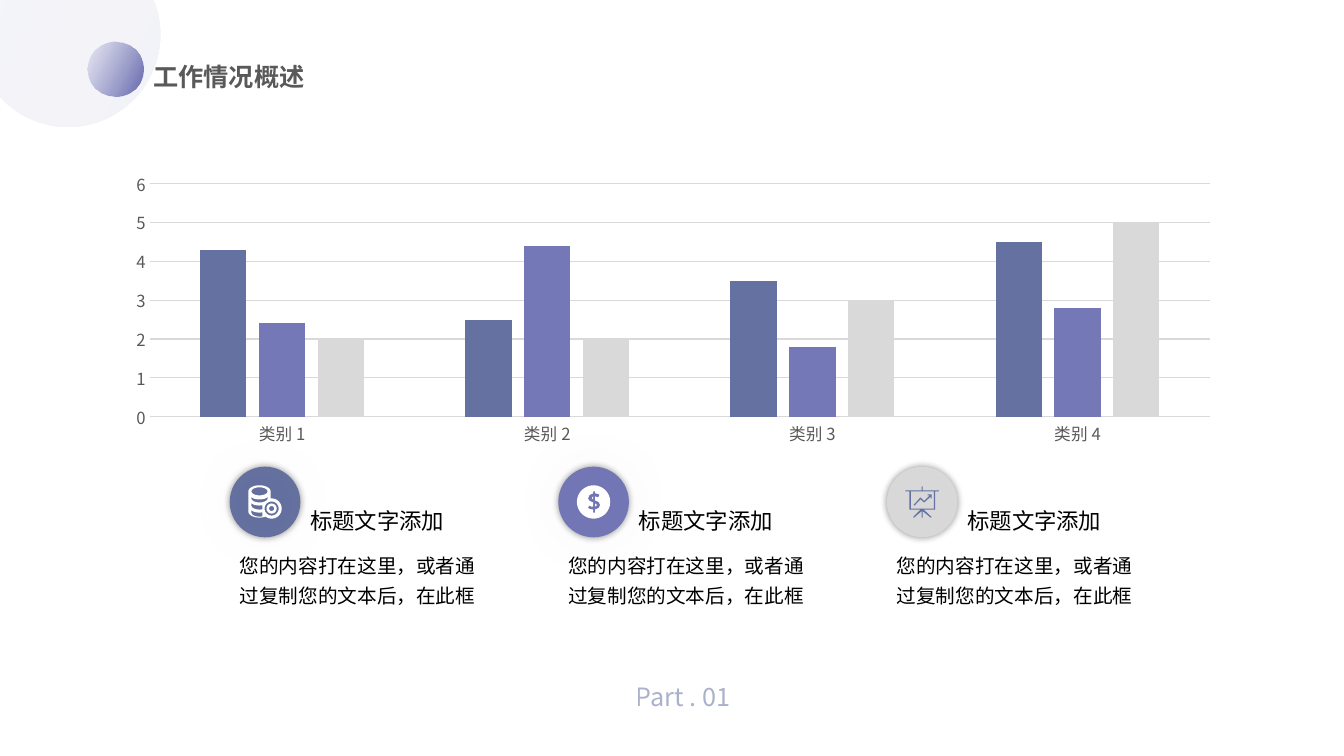
from math import cos, radians, sin

from lxml import etree
from pptx import Presentation
from pptx import util as u
from pptx.chart import data as chart_data
from pptx.dml import color
from pptx.enum import chart as ch, shapes as sh, text as tx
from pptx.oxml import ns

FONT = "Noto Sans CJK SC"
SLATE, VIOLET, SILVER = "6572A1", "7578B7", "D9D9D9"
GRAY, BLACK, WHITE = "595959", "000000", "FFFFFF"
ICON_GRID = 33
ICON_SIZE = u.Cm(0.84)


def rgb(hex_code):
    return color.RGBColor.from_string(hex_code)


def add_child(parent, tag, **attributes):
    return etree.SubElement(parent, ns.qn(tag), attributes)


def set_alpha(element, *percents):
    for clr, percent in zip(element.iter(ns.qn("a:srgbClr")), percents):
        add_child(clr, "a:alpha", val=str(percent * 1000))


def add_run(paragraph, wording, size, hex_code, bold=False):
    run = paragraph.add_run()
    run.text = wording
    run.font.size = u.Pt(size)
    run.font.bold = bold
    run.font.color.rgb = rgb(hex_code)
    run.font.name = FONT
    add_child(run.font._element, "a:ea", typeface=FONT)
    return run


def add_text(shapes, box, wording, size, hex_code, spacing=None):
    label = shapes.add_textbox(*box)
    label.text_frame.word_wrap = True
    paragraph = label.text_frame.paragraphs[0]
    paragraph.line_spacing = spacing
    add_run(paragraph, wording, size, hex_code)
    return label


def add_glow(shape, blur, percent):
    """Put a soft black shadow evenly around the shape."""
    shape.shadow.inherit = False
    effects = shape._element.spPr.find(ns.qn("a:effectLst"))
    glow = add_child(effects, "a:outerShdw", blurRad=str(u.Pt(blur)), dist="0",
                     dir="0", algn="ctr", rotWithShape="0")
    add_child(glow, "a:srgbClr", val=BLACK)
    set_alpha(glow, percent)


def arc(cx, cy, rx, ry, start=0, end=360, steps=24):
    angles = [radians(start + (end - start) * i / steps) for i in range(steps + 1)]
    return [(cx + rx * cos(a), cy + ry * sin(a)) for a in angles]


def coins_outlines():
    outer = (arc(11, 6, 11, 6, 180, 360) + arc(23, 23, 10, 10, -95, 125)
             + arc(11, 26, 11, 6, 50, 180))
    upper_band = arc(11, 11, 8, 3, 180, 0) + arc(11, 13, 8, 4, 0, 180)
    lower_bands = [arc(11, y, 8, 3, 180, 70) + arc(11, y + 3, 8, 4, 70, 180)
                   for y in (17, 24)]
    coin = [arc(23, 23, r, r) for r in (7, 5, 2.5)]
    return [outer, arc(11, 6, 8, 4), upper_band, *lower_bands, *coin]


def dollar_outlines():
    sign = [(16, 6), (18, 6), (18, 8), (21, 8.5), (22.5, 9.5), (21, 12), (18, 11),
            (18, 15), (21.5, 16.5), (23, 19.5), (21.5, 22.5), (18, 24), (18, 27),
            (16, 27), (16, 24), (13, 23.5), (11, 22.5), (12, 20), (14, 21),
            (16, 21), (16, 17), (12.5, 15.5), (11, 13), (12.5, 9.5), (16, 8)]
    upper_eye = [(16, 11), (14.7, 12.5), (16, 14)]
    lower_eye = [(18, 18), (20, 19.5), (18, 21)]
    return [arc(16.5, 16.5, 16.5, 16.5, steps=48), sign, upper_eye, lower_eye]


def board_outlines():
    stand = [(16, 0), (17, 0), (17, 4), (33, 4), (33, 5), (29.5, 5), (29.5, 23),
             (18, 23), (26, 30.5), (25, 31), (17, 24.5), (17, 31), (16, 31),
             (16, 24.5), (8.5, 31), (7.5, 30.5), (15, 23), (4, 23), (4, 5),
             (0, 5), (0, 4), (16, 4)]
    sheet = [(5.3, 5), (28.2, 5), (28.2, 22), (5.3, 22)]
    arrow = [(22, 8), (26, 8), (26, 12), (25, 12), (25, 10), (19, 15.7), (18, 15.7),
             (15, 12.7), (9, 19), (8, 18.5), (14.5, 11.3), (15.3, 11.3),
             (18.5, 14.5), (24, 9), (22, 9)]
    return [stand, sheet, arrow]


def add_icon(shapes, center_x, center_y, outlines, hex_code):
    fine = 100
    unit = ICON_SIZE / ICON_GRID
    width, height = (max(point[i] for point in outlines[0]) for i in (0, 1))
    pen = None
    for outline in outlines:
        (x, y), *rest = [(px * fine, py * fine) for px, py in outline]
        if pen is None:
            pen = shapes.build_freeform(x, y, scale=unit / fine)
        else:
            pen.move_to(x, y)
        pen.add_line_segments(rest, close=True)
    icon = pen.convert_to_shape(int(center_x - width * unit / 2),
                                int(center_y - height * unit / 2))
    icon.fill.solid()
    icon.fill.fore_color.rgb = rgb(hex_code)
    icon.line.fill.background()
    add_glow(icon, 53, 20)


def add_badge(shapes, left, top, size, disc_color, outlines, icon_color):
    disc = shapes.add_shape(sh.MSO_SHAPE.OVAL, left, top, size, size)
    disc.fill.solid()
    disc.fill.fore_color.rgb = rgb(disc_color)
    disc.line.fill.background()
    add_glow(disc, 5, 40)
    add_icon(shapes, left + size / 2, top + size / 2, outlines, icon_color)


def add_card(slide, left, top, *badge):
    badge_size = u.Cm(1.78)
    add_badge(slide.shapes.add_group_shape().shapes, left, top, badge_size, *badge)
    texts = slide.shapes.add_group_shape().shapes
    add_text(texts, (left, top + u.Cm(1.93), u.Cm(6.58), u.Cm(1.75)),
             "您的内容打在这里，或者通过复制您的文本后，在此框", 14, BLACK, 1.25)
    add_text(texts, (left + badge_size, top + u.Cm(0.76), u.Cm(4.19), u.Cm(1.02)),
             "标题文字添加", 16, BLACK, 1.2)


def add_gradient_ball(slide, left, top, size, *alphas):
    ball = slide.shapes.add_shape(sh.MSO_SHAPE.OVAL, left, top, size, size)
    ball.shadow.inherit = False
    ball.line.fill.background()
    ball.fill.gradient()
    ball.fill.gradient_angle = 360 - 26
    for stop, position, hex_code in zip(ball.fill.gradient_stops, (0, 1),
                                        (VIOLET, "6366AD")):
        stop.position = position
        stop.color.rgb = rgb(hex_code)
    set_alpha(ball._element.spPr, *alphas)


def add_header(slide, left, top):
    """Draw the corner balls and the title; left and top locate the small ball."""
    add_gradient_ball(slide, left - u.Cm(2.82), top - u.Cm(2.49), u.Cm(4.65), 8, 8)
    add_gradient_ball(slide, left, top, u.Cm(1.4), 8, 100)
    title = slide.shapes.title
    title.left, title.top = left + u.Cm(1.4), top + u.Cm(0.38)
    title.width, title.height = u.Cm(6.99), u.Cm(1.02)
    title.text_frame.vertical_anchor = tx.MSO_ANCHOR.TOP
    title.text_frame.auto_size = tx.MSO_AUTO_SIZE.NONE
    heading = title.text_frame.paragraphs[0]
    heading.alignment = tx.PP_ALIGN.JUSTIFY
    add_run(heading, "工作情况概述", 18, GRAY, bold=True)


def add_footer(slide, *box):
    part = add_text(slide.shapes, box, "Part . 01", 18, SLATE)
    part.text_frame.vertical_anchor = tx.MSO_ANCHOR.MIDDLE
    part.text_frame.paragraphs[0].alignment = tx.PP_ALIGN.JUSTIFY
    set_alpha(part._element, 54)


def style_axis(axis):
    axis.major_tick_mark = axis.minor_tick_mark = ch.XL_TICK_MARK.NONE
    labels = axis.tick_labels.font
    labels.size, labels.name = u.Pt(11.9), FONT
    labels.color.rgb = rgb(GRAY)


def add_column_chart(slide, *box):
    figures = chart_data.CategoryChartData()
    figures.categories = [f"类别 {n}" for n in range(1, 5)]
    figures.add_series("Series 1", (4.3, 2.5, 3.5, 4.5))
    figures.add_series("Series 2", (2.4, 4.4, 1.8, 2.8))
    figures.add_series("Series 3", (2, 2, 3, 5))
    chart = slide.shapes.add_chart(ch.XL_CHART_TYPE.COLUMN_CLUSTERED, *box, figures).chart
    chart.has_legend = chart.has_title = False
    chart.font.size, chart.font.name = u.Pt(10), FONT
    chart.font.color.rgb = rgb(BLACK)
    columns = chart.plots[0]
    columns.gap_width, columns.overlap = 219, -27
    columns.vary_by_categories = False
    for series, hex_code in zip(columns.series, (SLATE, VIOLET, SILVER)):
        series.format.fill.solid()
        series.format.fill.fore_color.rgb = rgb(hex_code)
    categories, values = chart.category_axis, chart.value_axis
    style_axis(categories)
    style_axis(values)
    values.minimum_scale, values.maximum_scale, values.major_unit = 0, 6, 1
    values.format.line.fill.background()
    for line in (categories.format.line, values.major_gridlines.format.line):
        line.color.rgb = rgb(SILVER)
        line.width = u.Pt(0.75)
    for properties in chart.element.iter(ns.qn("a:defRPr")):
        add_child(properties, "a:ea", typeface=FONT)


def main():
    deck = Presentation()
    deck.slide_width, deck.slide_height = u.Cm(33.87), u.Cm(19.05)
    slide = deck.slides.add_slide(deck.slide_layouts[5])
    add_header(slide, u.Cm(2.21), u.Cm(1.04))
    add_footer(slide, u.Cm(15.77), u.Cm(16.89), u.Cm(3.76), u.Cm(1.3))
    add_column_chart(slide, u.Cm(2.87), u.Cm(4.17), u.Cm(28.19), u.Cm(7.21))
    badges = ((SLATE, coins_outlines(), WHITE), (VIOLET, dollar_outlines(), WHITE),
              (SILVER, board_outlines(), SLATE))
    for column, badge in enumerate(badges):
        add_card(slide, u.Cm(5.79 + 8.28 * column), u.Cm(11.76), *badge)
    deck.save("out.pptx")


if __name__ == "__main__":
    main()
